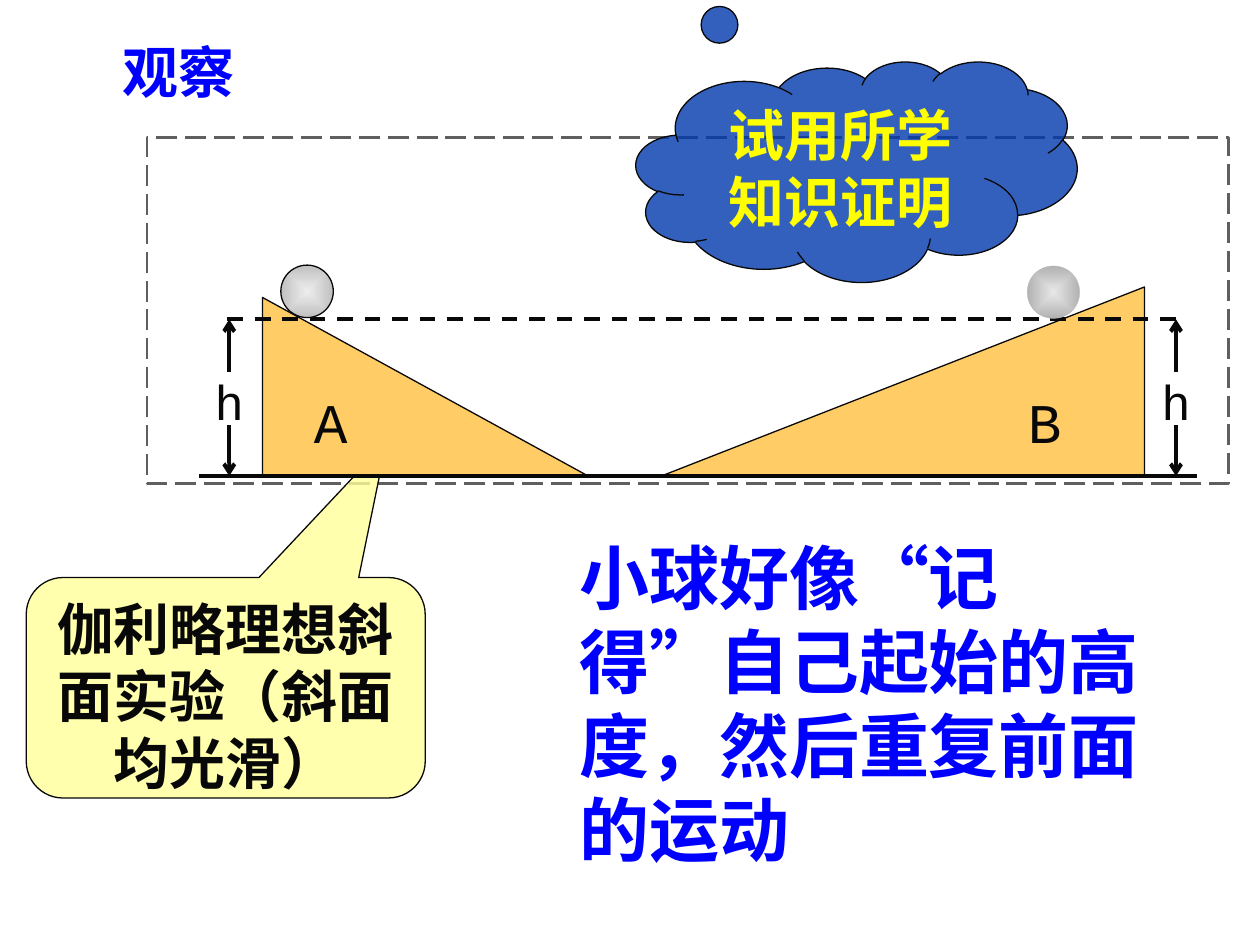
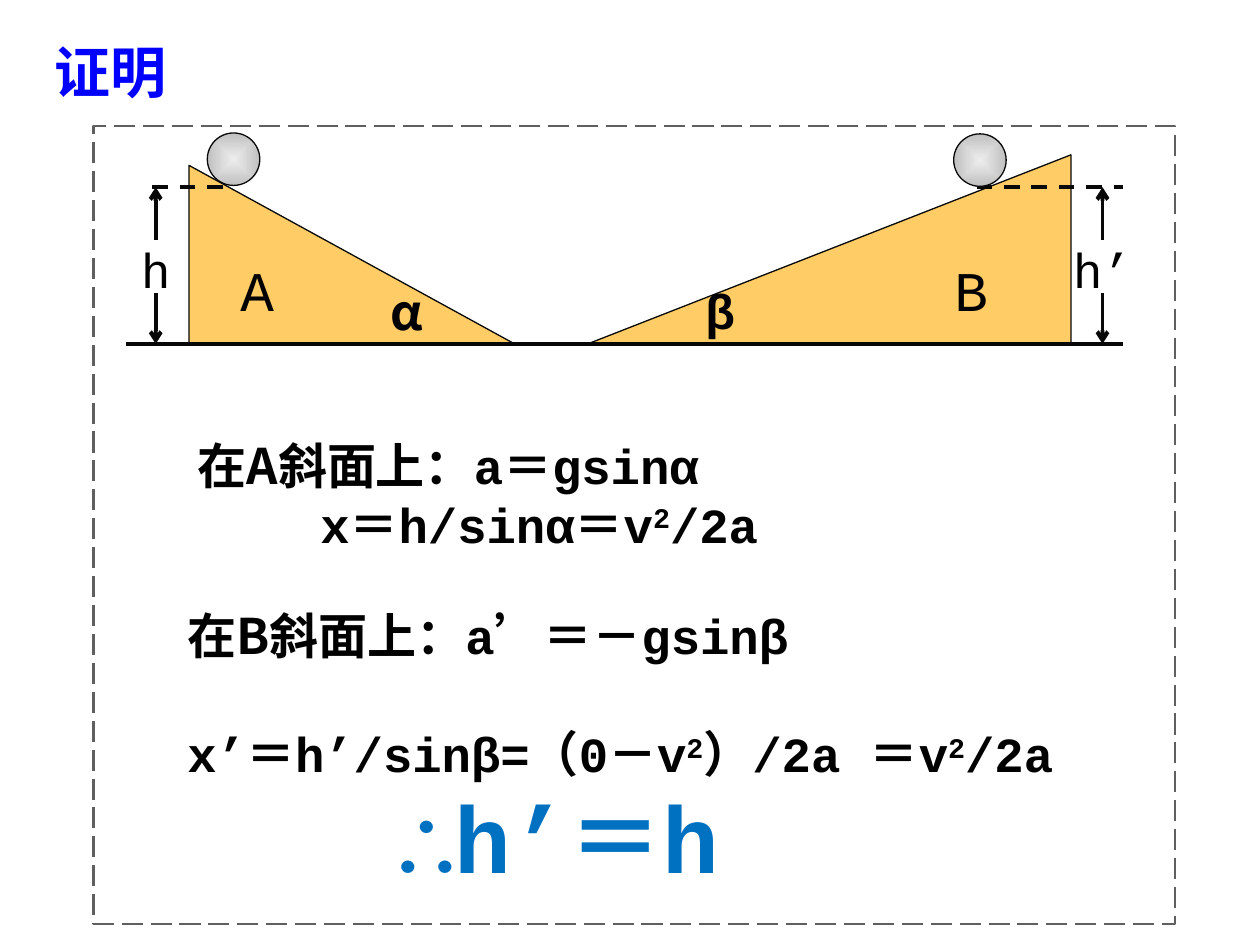
from lxml import etree
from pptx import Presentation
from pptx.dml.color import RGBColor
from pptx.enum.dml import MSO_LINE_DASH_STYLE as DASH
from pptx.enum.shapes import MSO_CONNECTOR, MSO_SHAPE as SHAPE
from pptx.enum.text import MSO_ANCHOR, MSO_AUTO_SIZE, PP_ALIGN as ALIGN
from pptx.oxml.ns import qn
from pptx.util import Pt

BLACK = RGBColor(0x00, 0x00, 0x00)
INK = RGBColor(0x08, 0x08, 0x08)
WHITE = RGBColor(0xFF, 0xFF, 0xFF)
BLUE = RGBColor(0x00, 0x00, 0xFF)
CLOUD_BLUE = RGBColor(0x00, 0x39, 0xAC)
RESULT_BLUE = RGBColor(0x00, 0x70, 0xC0)
YELLOW = RGBColor(0xFF, 0xFF, 0x00)
NOTE_YELLOW = RGBColor(0xFF, 0xFF, 0x99)
WEDGE_ORANGE = RGBColor(0xFF, 0xCC, 0x66)
FRAME_GRAY = RGBColor(0x5F, 0x5F, 0x5F)
BALL_LIGHT = RGBColor(0xED, 0xED, 0xED)
BALL_DARK = RGBColor(0xC0, 0xC0, 0xC0)
END_LIGHT = RGBColor(0xE7, 0xE7, 0xE7)
END_DARK = RGBColor(0xB2, 0xB2, 0xB2)

SANS, MONO, CJK = "Arial", "Courier New", "Noto Sans CJK SC"
LEADING = 1.2
START_HEIGHT = 89.5  # of the balls' lowest points above the floor
MARK_WIDTH = 54  # holds a height label with its prime on one line


def format_run(run, size, color, font=SANS, bold=True, east_asian=CJK):
    run.font.name = font
    run.font.size = Pt(size)
    run.font.bold = bold
    run.font.color.rgb = color
    latin = run.font._element.find(qn("a:latin"))
    ea = etree.Element(qn("a:ea"), typeface=east_asian)
    latin.addnext(ea)


def write(frame, text, size, color, align=ALIGN.LEFT, leading=True, **style):
    frame.word_wrap = True
    frame.auto_size = MSO_AUTO_SIZE.NONE
    frame.vertical_anchor = MSO_ANCHOR.TOP
    frame.text = text
    paragraph = frame.paragraphs[0]
    paragraph.alignment = align
    if leading:
        paragraph.line_spacing = Pt(size * LEADING)
    format_run(paragraph.runs[0], size, color, **style)


def add_text(slide, box, text, size, color, **style):
    textbox = slide.shapes.add_textbox(*map(Pt, box))
    write(textbox.text_frame, text, size, color, **style)


def set_title(slide, box, text, align):
    title = slide.shapes.title
    title.left, title.top, title.width, title.height = map(Pt, box)
    write(title.text_frame, text, 32, BLUE, align)


def add_filled(slide, kind, box, fill, line=INK, width=0.75, opacity=100):
    shape = slide.shapes.add_shape(kind, *map(Pt, box))
    shape.shadow.inherit = False
    shape.fill.solid()
    shape.fill.fore_color.rgb = fill
    if opacity < 100:
        srgb = shape.fill._xPr.find(".//" + qn("a:srgbClr"))
        etree.SubElement(srgb, qn("a:alpha"), val=str(opacity * 1000))
    shape.line.color.rgb = line
    shape.line.width = Pt(width)
    return shape


def add_frame(slide, box):
    frame = add_filled(slide, SHAPE.RECTANGLE, box, WHITE, FRAME_GRAY, 1.5, 70)
    frame.line.dash_style = DASH.LONG_DASH


def add_callout(slide, kind, box, fill, adjustments, text, color):
    callout = add_filled(slide, kind, box, fill, opacity=80)
    for index, value in enumerate(adjustments):
        callout.adjustments[index] = value
    write(callout.text_frame, text, 32, color, ALIGN.CENTER)


def add_ball(slide, left, top, light=BALL_LIGHT, dark=BALL_DARK,
             line=INK, width=0.75):
    """Add a ball shaded from its centre outwards."""
    ball = add_filled(slide, SHAPE.OVAL, (left, top, 30, 30), light, line, width)
    ball.fill.gradient()
    for stop, color in zip(ball.fill.gradient_stops, (light, dark)):
        stop.color.rgb = color
    gradient = ball.fill._xPr.find(qn("a:gradFill"))
    linear = gradient.find(qn("a:lin"))
    radial = etree.Element(qn("a:path"), path="shape")
    etree.SubElement(radial, qn("a:fillToRect"),
                     {side: "50000" for side in "ltrb"})
    gradient.replace(linear, radial)


def add_line(slide, x1, y1, x2, y2, dashed=False, arrow=False):
    line = slide.shapes.add_connector(MSO_CONNECTOR.STRAIGHT,
                                      Pt(x1), Pt(y1), Pt(x2), Pt(y2))
    line.line.color.rgb = INK
    line.line.width = Pt(2.25)
    if dashed:
        line.line.dash_style = DASH.DASH
    if arrow:
        etree.SubElement(line.line._get_or_add_ln(), qn("a:tailEnd"), type="arrow")
    etree.SubElement(line._element.spPr, qn("a:effectLst"))


def add_height_mark(slide, middle, floor, label, color):
    """Centre a height label between arrows to the start level and the floor."""
    add_text(slide, (middle - MARK_WIDTH / 2, floor - 63, MARK_WIDTH, 41),
             label, 28, color,
             align=ALIGN.CENTER, leading=False, font=MONO, bold=False)
    level = floor - START_HEIGHT
    add_line(slide, middle, level + 30, middle, level, arrow=True)
    add_line(slide, middle, floor - 29, middle, floor, arrow=True)


def add_inclines(slide, left, floor, levels, end_label, color, end_ball):
    """Add both inclines; levels are the spans of the dashed level lines."""
    add_filled(slide, SHAPE.RIGHT_TRIANGLE, (left + 36, floor - 102, 186, 102),
               WEDGE_ORANGE)
    rise = add_filled(slide, SHAPE.RIGHT_TRIANGLE,
                      (left + 264, floor - 108, 276, 108), WEDGE_ORANGE)
    rise._element.spPr.find(qn("a:xfrm")).set("flipH", "1")
    add_line(slide, left, floor, left + 570, floor)
    for label, x in (("A", 54), ("B", 462)):
        add_text(slide, (left + x, floor - 54, 42, 45), label, 32, color,
                 align=ALIGN.CENTER, leading=False, font=MONO, bold=False)
    add_height_mark(slide, left + 17, floor, "h", color)
    add_height_mark(slide, left + 558, floor, end_label, color)
    level = floor - START_HEIGHT
    for start, end in levels:
        add_line(slide, left + start, level, left + end, level, dashed=True)
    add_ball(slide, left + 46.5, floor - 120.5)
    add_ball(slide, left + 473, floor - 120, **end_ball)


def add_formulas(slide, box, rows):
    """Each row is (indent, space before, pieces); a piece is (text, font, raised)."""
    frame = slide.shapes.add_textbox(*map(Pt, box)).text_frame
    frame.word_wrap = True
    for index, (indent, before, pieces) in enumerate(rows):
        paragraph = frame.add_paragraph() if index else frame.paragraphs[0]
        if indent:
            paragraph._p.get_or_add_pPr().set("marL", str(Pt(indent)))
        paragraph.line_spacing = Pt(28 * LEADING)
        if before:
            paragraph.space_before = Pt(before)
        for text, font, raised in pieces:
            run = paragraph.add_run()
            run.text = text
            format_run(run, 28, BLACK, font)
            if raised:
                run.font._element.set("baseline", "30000")


def heading(text):
    return text, CJK, False


def math(text):
    return text, MONO, False


SQUARED = ("2", MONO, True)


def build_observation(slide):
    set_title(slide, (18, 18, 168, 48), "观察", ALIGN.CENTER)
    add_frame(slide, (84, 78.5, 618, 198))
    add_callout(slide, SHAPE.ROUNDED_RECTANGULAR_CALLOUT, (15, 330, 228, 126),
                NOTE_YELLOW, (0.403, -1.116, 0.167),
                "伽利略理想斜面实验（斜面均光滑）", INK)
    add_callout(slide, SHAPE.CLOUD_CALLOUT, (363.5, 35, 252, 126),
                CLOUD_BLUE, (-0.528, -1.131), "试用所学知识证明", YELLOW)
    add_inclines(slide, 114, 272, [(16, 562)], "h", INK,
                 dict(light=END_LIGHT, dark=END_DARK, line=BALL_DARK, width=0.25))
    add_text(slide, (324, 302, 360, 151),
             "小球好像“记得”自己起始的高度，然后重复前面的运动", 40, BLUE)


def build_proof(slide):
    set_title(slide, (24, 18, 150, 36), "证明", ALIGN.LEFT)
    add_frame(slide, (53.5, 72, 618, 456))
    add_formulas(slide, (106, 245.5, 426, 74), [
        (0, 0, [heading("在A斜面上："), math("a＝gsinα")]),
        (70, 0, [math("x＝h/sinα＝v"), SQUARED, math("/2a")]),
    ])
    add_inclines(slide, 72, 196.5, [(15, 60), (486, 570)], "h’", BLACK, {})
    add_text(slide, (216, 157.5, 48, 41), "α", 28, BLACK, font=CJK)
    add_text(slide, (396, 157, 42, 41), "β", 28, BLACK, font=MONO, leading=False)
    add_formulas(slide, (100, 342.5, 570, 74), [
        (0, 0, [heading("在B斜面上："), math("a’＝－gsinβ")]),
        (0, 34, [math("x’＝h’/sinβ=（0－v"), SQUARED, math("）/2a ＝v"),
                 SQUARED, math("/2a")]),
    ])
    add_text(slide, (220.5, 441.5, 273, 72), "∴h’＝h", 54, RESULT_BLUE,
             font=MONO, east_asian=MONO)


def main():
    presentation = Presentation()
    presentation.slide_width, presentation.slide_height = Pt(720), Pt(540)
    title_only = presentation.slide_layouts[5]
    for build in (build_observation, build_proof):
        build(presentation.slides.add_slide(title_only))
    presentation.save("out.pptx")


if __name__ == "__main__":
    main()
